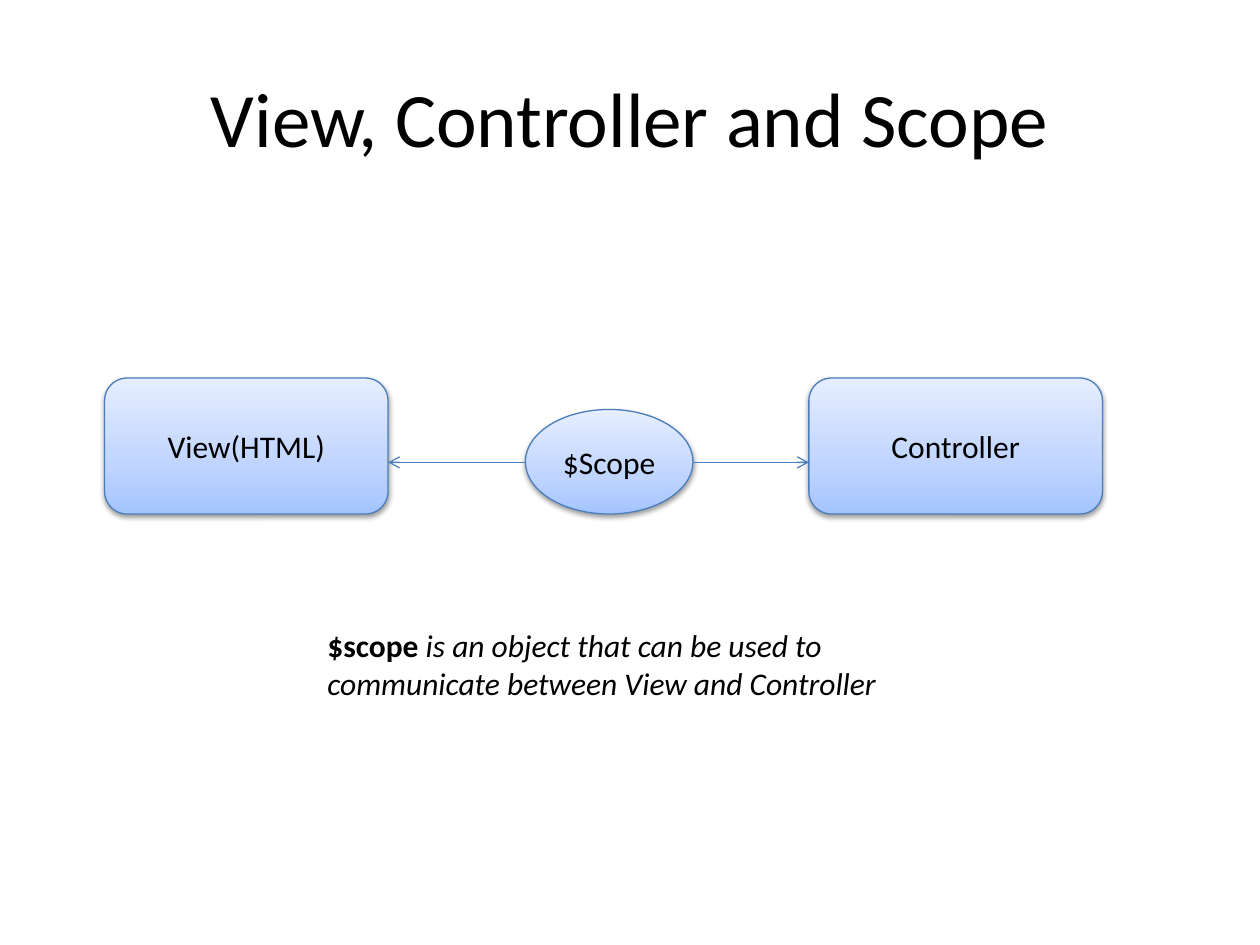
from lxml.etree import SubElement
from pptx import Presentation
from pptx.dml.color import RGBColor
from pptx.enum.shapes import MSO_CONNECTOR, MSO_SHAPE
from pptx.enum.text import MSO_ANCHOR, MSO_AUTO_SIZE, PP_ALIGN
from pptx.oxml.ns import qn
from pptx.util import Inches, Pt

COLORS = {"text": "000000", "line": "4B7EBC", "shadow": "000000",
          "deep": "A4C4FF", "middle": "BFD4FF", "pale": "E6EEFF"}
GRADIENT = [(0, "deep"), (35, "middle"), (100, "pale")]


def add_text(paragraph, text, size=18, bold=False, italic=False, align=None):
    if align is not None:
        paragraph.alignment = align
    run = paragraph.add_run()
    run.text = text
    font = run.font
    font.name, font.size, font.bold, font.italic = "Calibri", Pt(size), bold, italic
    font.color.rgb = RGBColor.from_string(COLORS["text"])


class Diagram:
    """Draws styled elements on the current slide."""

    def __init__(self, slide):
        self.slide = slide

    def style_line(self, line):
        line.color.rgb = RGBColor.from_string(COLORS["line"])
        line.width = Pt(0.75)

    def title(self, text):
        heading = self.slide.shapes.title
        heading.left, heading.top = Inches(0.5), Inches(0.3)
        heading.width, heading.height = Inches(9), Inches(1.25)
        heading.text_frame.vertical_anchor = MSO_ANCHOR.MIDDLE
        add_text(heading.text_frame.paragraphs[0], text, size=44, align=PP_ALIGN.CENTER)

    def node(self, kind, text, left, top, width, height):
        node = self.slide.shapes.add_shape(
            kind, Inches(left), Inches(top), Inches(width), Inches(height))
        self.shade(node)
        self.style_line(node.line)
        self.cast_shadow(node)
        frame = node.text_frame
        frame.word_wrap = False
        frame.vertical_anchor = MSO_ANCHOR.MIDDLE
        add_text(frame.paragraphs[0], text, align=PP_ALIGN.CENTER)

    def shade(self, node):
        node.fill.gradient()
        node.fill.gradient_angle = 90
        stops = node._element.spPr.find(qn("a:gradFill")).find(qn("a:gsLst"))
        stops.clear()
        for percent, tone in GRADIENT:
            stop = SubElement(stops, qn("a:gs"), pos=str(percent * 1000))
            SubElement(stop, qn("a:srgbClr"), val=COLORS[tone])

    def cast_shadow(self, node):
        node.shadow.inherit = False
        effects = node._element.spPr.find(qn("a:effectLst"))
        shadow = SubElement(effects, qn("a:outerShdw"), blurRad=str(Pt(3.1)),
                            dist=str(Pt(1.6)), dir="5400000", rotWithShape="0")
        color = SubElement(shadow, qn("a:srgbClr"), val=COLORS["shadow"])
        SubElement(color, qn("a:alpha"), val="38000")

    def arrow(self, start, end, y):
        arrow = self.slide.shapes.add_connector(
            MSO_CONNECTOR.STRAIGHT, Inches(start), Inches(y), Inches(end), Inches(y))
        self.style_line(arrow.line)
        properties = arrow._element.spPr
        SubElement(properties.find(qn("a:ln")), qn("a:tailEnd"), type="arrow")
        SubElement(properties, qn("a:effectLst"))

    def caption(self, term, explanation, left, top, width, height):
        caption = self.slide.shapes.add_textbox(
            Inches(left), Inches(top), Inches(width), Inches(height))
        frame = caption.text_frame
        frame.word_wrap = True
        frame.auto_size = MSO_AUTO_SIZE.SHAPE_TO_FIT_TEXT
        add_text(frame.paragraphs[0], term, bold=True)
        add_text(frame.paragraphs[0], explanation, italic=True)


def main():
    presentation = Presentation()
    presentation.slide_width, presentation.slide_height = Inches(10), Inches(7.5)
    diagram = Diagram(presentation.slides.add_slide(presentation.slide_layouts[5]))
    diagram.title("View, Controller and Scope")
    diagram.node(MSO_SHAPE.ROUNDED_RECTANGLE, "View(HTML)", 0.83, 3, 2.25, 1.08)
    diagram.node(MSO_SHAPE.ROUNDED_RECTANGLE, "Controller", 6.42, 3, 2.33, 1.08)
    diagram.node(MSO_SHAPE.OVAL, "$Scope", 4.17, 3.25, 1.33, 0.83)
    for start, end in [(4.17, 3.08), (5.5, 6.42)]:
        diagram.arrow(start, end, 3.67)
    diagram.caption("$scope ", "is an object that can be used to communicate "
                    "between View and Controller", 2.5, 4.92, 5, 0.71)
    presentation.save("out.pptx")


if __name__ == "__main__":
    main()
